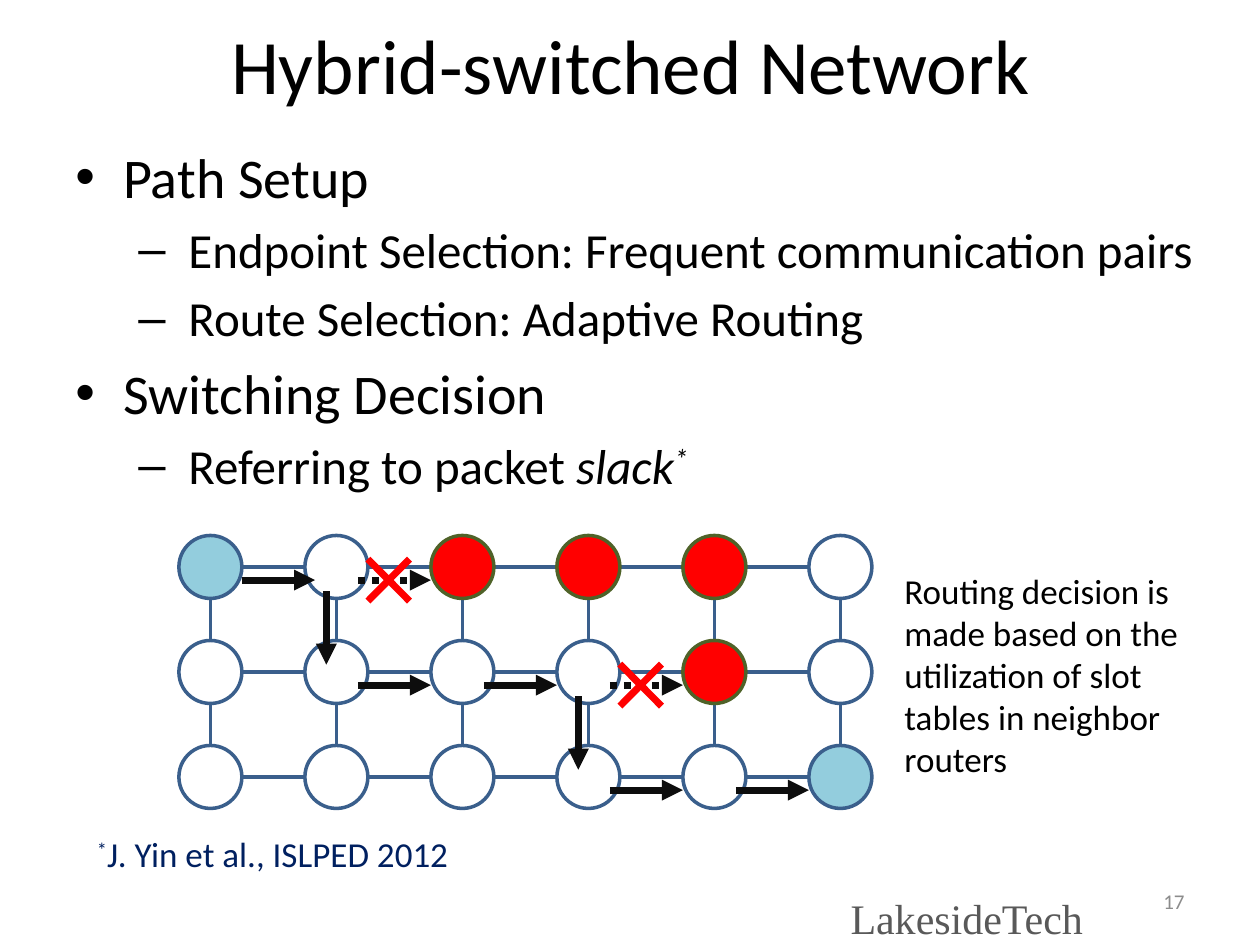
from itertools import product

from lxml import etree
from pptx import Presentation
from pptx.dml.color import RGBColor
from pptx.enum.dml import MSO_LINE
from pptx.enum.shapes import MSO_CONNECTOR, MSO_SHAPE
from pptx.enum.text import MSO_ANCHOR, MSO_AUTO_SIZE, PP_ALIGN
from pptx.oxml.ns import qn
from pptx.util import Inches, Pt

STRAIGHT = MSO_CONNECTOR.STRAIGHT
RECTANGLE, OVAL = MSO_SHAPE.RECTANGLE, MSO_SHAPE.OVAL
DOTTED = MSO_LINE.ROUND_DOT
MIDDLE, TOP = MSO_ANCHOR.MIDDLE, MSO_ANCHOR.TOP
LEFT, CENTER, RIGHT = PP_ALIGN.LEFT, PP_ALIGN.CENTER, PP_ALIGN.RIGHT
NO_FIT = MSO_AUTO_SIZE.NONE

MESH_LEFT, MESH_TOP = 1.67, 4.5
COLUMN, ROW = 1, 5 / 6
COLUMNS, ROWS = 6, 3
NODE = 0.5

ENDPOINTS = {(0, 0), (5, 2)}
BUSY = {(2, 0), (3, 0), (4, 0), (4, 1)}
ROUTE = [
    ((0.25, 0.125), (0.83, 0.125)),
    ((0.92, 0.23), (0.92, 0.93)),
    ((1.17, 1.125), (1.75, 1.125)),
    ((2.17, 1.125), (2.75, 1.125)),
    ((2.92, 1.23), (2.92, 1.93)),
    ((3.17, 2.125), (3.75, 2.125)),
    ((4.17, 2.125), (4.75, 2.125)),
]
BLOCKED = [(1, 0), (3, 1)]

OUTLINE = [
    (0, [("Path Setup", {})]),
    (1, [(" Endpoint Selection: Frequent communication pairs", {})]),
    (1, [(" Route Selection: Adaptive Routing", {})]),
    (0, [("Switching Decision", {})]),
    (1, [(" Referring to packet ", {}), ("slack", {"italic": True}),
         ("*", {"italic": True, "raised": True})]),
]
LEVELS = [
    {"size": 32, "bullet": "•", "margin": 0.38, "hanging": 0.38},
    {"size": 28, "bullet": "–", "margin": 0.81, "hanging": 0.31},
]


def color(value):
    return RGBColor.from_string(value)


class SlideKit:
    font = "Calibri"
    ink = "000000"
    edge = "3A5F8C"
    busy_edge = "4F6228"
    busy_fill = "FF0000"
    endpoint_fill = "93CDDD"
    route = "0D0D0D"
    cross = "FF0000"

    def __init__(self, deck):
        self.page = deck.slides.add_slide(deck.slide_layouts[5])

    def point(self, column, row):
        return (Inches(MESH_LEFT + column * COLUMN),
                Inches(MESH_TOP + row * ROW))

    def shape(self, kind, box, fill, edge):
        shape = self.page.shapes.add_shape(kind, *box)
        shape.shadow.inherit = False
        shape.fill.solid()
        shape.fill.fore_color.rgb = color(fill)
        shape.line.color.rgb = color(edge)
        shape.line.width = Pt(2)

    def cell(self, column, row):
        box = (*self.point(column, row), Inches(COLUMN), Inches(ROW))
        self.shape(RECTANGLE, box, "FFFFFF", self.edge)

    def node(self, column, row):
        place = (column, row)
        fill, edge = "FFFFFF", self.edge
        if place in ENDPOINTS:
            fill = self.endpoint_fill
        elif place in BUSY:
            fill, edge = self.busy_fill, self.busy_edge
        x, y = self.point(column, row)
        half = Inches(NODE / 2)
        self.shape(OVAL, (x - half, y - half, 2 * half, 2 * half), fill, edge)

    def line(self, start, end, stroke, dash=None, arrow=False):
        line = self.page.shapes.add_connector(
            STRAIGHT, *self.point(*start), *self.point(*end))
        line.line.color.rgb = color(stroke)
        line.line.width = Pt(4)
        if dash:
            line.line.dash_style = dash
        if arrow:
            etree.SubElement(line.line._get_or_add_ln(), qn("a:tailEnd"),
                             type="triangle")
        etree.SubElement(line._element.spPr, qn("a:effectLst"))

    def blocked_hop(self, column, row):
        y = row + 0.125
        self.line((column + 0.17, y), (column + 0.75, y), self.route,
                  DOTTED, True)
        for slope in (1, -1):
            self.line((column + 0.25, y - 0.2 * slope),
                      (column + 0.58, y + 0.2 * slope), self.cross)

    def spans(self, para, parts, size, ink, font):
        for words, extra in parts:
            span = para.add_run()
            span.text = words
            span.font.color.rgb = color(ink)
            values = {"name": font, "size": Pt(size),
                      "italic": extra.get("italic", False)}
            for name, value in values.items():
                setattr(span.font, name, value)
            if extra.get("raised"):
                span.font._element.set("baseline", "30000")

    def frame(self, box, at, anchor=TOP, inset=None):
        for name, value in zip(("left", "top", "width", "height"), at):
            setattr(box, name, Inches(value))
        frame = box.text_frame
        values = {"word_wrap": True, "auto_size": NO_FIT,
                  "vertical_anchor": anchor}
        if inset is not None:
            sides = ("left", "top", "right", "bottom")
            values.update({f"margin_{side}": Inches(inset) for side in sides})
        for name, value in values.items():
            setattr(frame, name, value)
        return frame

    def new_box(self):
        return self.page.shapes.add_textbox(0, 0, 0, 0)

    def text(self, at, parts, size, ink=None, font=None, align=LEFT,
             anchor=TOP, inset=None, box=None):
        frame = self.frame(box or self.new_box(), at, anchor, inset)
        para = frame.paragraphs[0]
        para.alignment = align
        self.spans(para, parts, size, ink or self.ink, font or self.font)

    def title(self, at, words):
        self.text(at, [(words, {})], 44, align=CENTER, anchor=MIDDLE,
                  box=self.page.shapes.title)

    def outline(self, at, items):
        frame = self.frame(self.new_box(), at)
        for index, (level, parts) in enumerate(items):
            para = frame.add_paragraph() if index else frame.paragraphs[0]
            look = LEVELS[level]
            para.level = level
            para.space_before = Pt(look["size"] * 0.2)
            props = para._p.get_or_add_pPr()
            props.set("marL", str(Inches(look["margin"])))
            props.set("indent", str(-Inches(look["hanging"])))
            etree.SubElement(props, qn("a:buFont"), typeface="Arial")
            etree.SubElement(props, qn("a:buChar"), char=look["bullet"])
            self.spans(para, parts, look["size"], self.ink, self.font)


def main():
    deck = Presentation()
    deck.slide_width, deck.slide_height = Inches(10), Inches(7.5)
    kit = SlideKit(deck)

    kit.title((0.17, 0.17, 9.67, 0.67), "Hybrid-switched Network")
    kit.outline((0.5, 1.08, 9.17, 2.92), OUTLINE)

    for place in product(range(COLUMNS - 1), range(ROWS - 1)):
        kit.cell(*place)
    for place in product(range(COLUMNS), range(ROWS)):
        kit.node(*place)
    for start, end in ROUTE:
        kit.line(start, end, kit.route, arrow=True)
    for place in BLOCKED:
        kit.blocked_hop(*place)

    kit.text((7.08, 4.47, 2.5, 1.78),
             [("Routing decision is made based on the utilization of slot "
               "tables in neighbor routers", {})], 20)
    kit.text((0.67, 6.56, 3.58, 0.44),
             [("*", {"raised": True}), ("J. Yin et al., ISLPED 2012", {})],
             20, ink="002060")
    kit.text((7.17, 6.95, 2.33, 0.4), [("17", {})], 12, ink="8C8C8C",
             align=RIGHT, anchor=MIDDLE)
    kit.text((6.75, 7.08, 2.25, 0.42), [("LakesideTech", {})], 24,
             ink="595959", font="Times New Roman", inset=0)

    deck.save("out.pptx")


if __name__ == "__main__":
    main()
